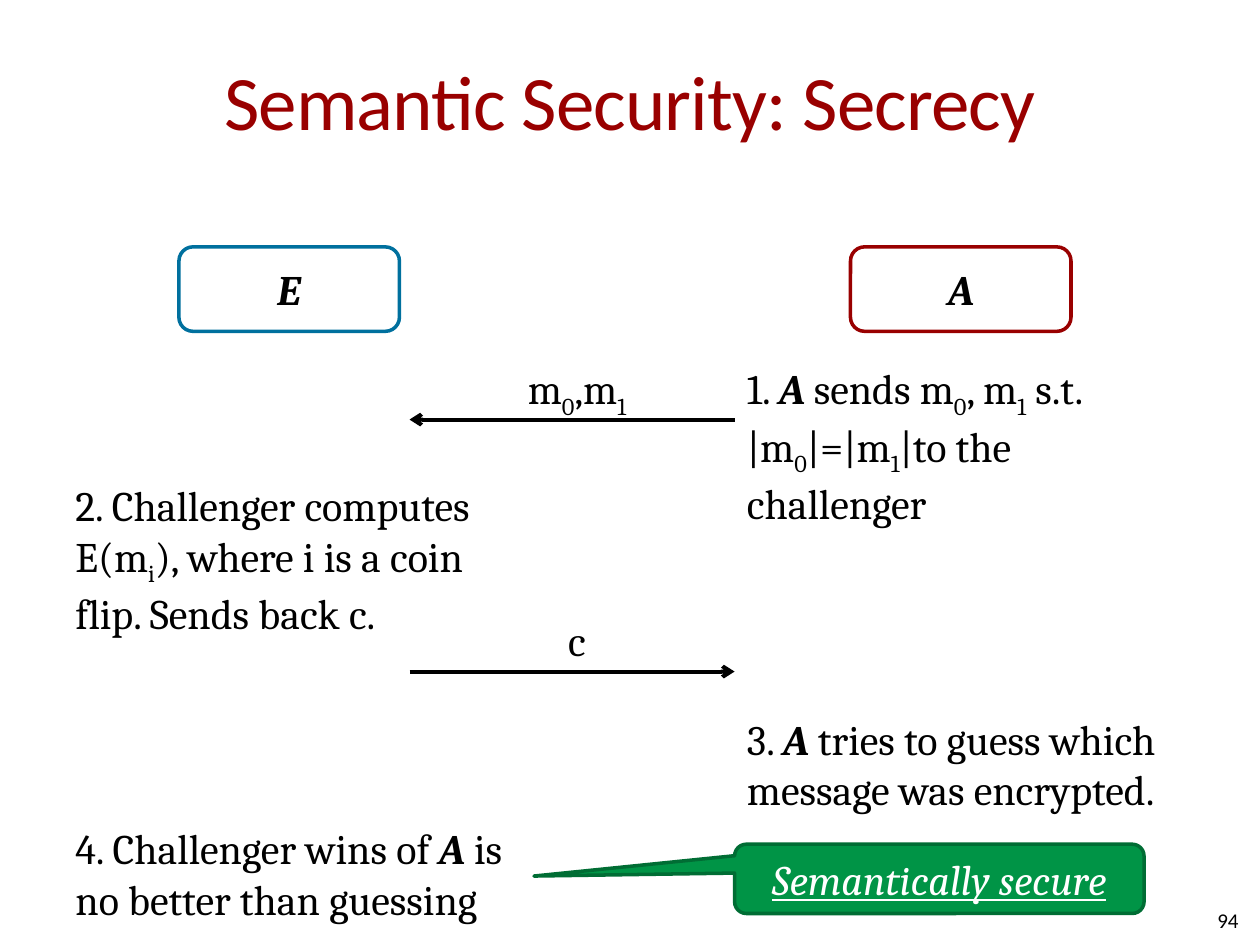
from dataclasses import dataclass

from pptx import Presentation
from pptx.dml.color import RGBColor
from pptx.enum.shapes import MSO_CONNECTOR, MSO_SHAPE
from pptx.enum.text import MSO_ANCHOR, PP_ALIGN
from pptx.oxml.ns import qn
from pptx.util import Inches, Pt
from lxml import etree

LEFT, CENTER, RIGHT = PP_ALIGN.LEFT, PP_ALIGN.CENTER, PP_ALIGN.RIGHT
TOP, MIDDLE = MSO_ANCHOR.TOP, MSO_ANCHOR.MIDDLE
ROUNDED, CALLOUT = MSO_SHAPE.ROUNDED_RECTANGLE, MSO_SHAPE.ROUNDED_RECTANGULAR_CALLOUT
STRAIGHT = MSO_CONNECTOR.STRAIGHT

BLACK = RGBColor(0x00, 0x00, 0x00)
WHITE = RGBColor(0xFF, 0xFF, 0xFF)
DARK_RED = RGBColor(0x99, 0x00, 0x00)
BLUE = RGBColor(0x00, 0x70, 0x9E)
GREEN = RGBColor(0x00, 0x94, 0x46)
DARK_GREEN = RGBColor(0x00, 0x6D, 0x34)

CHALLENGER_LEFT, ADVERSARY_LEFT = 0.5, 5.83
ARROW_LEFT, ARROW_RIGHT = 3.25, 5.83


@dataclass(frozen=True)
class Phrase:
    text: str
    subscript: bool = False
    party: bool = False


@dataclass(frozen=True)
class Step:
    left: float
    top: float
    width: float
    height: float
    phrases: tuple


@dataclass(frozen=True)
class Box:
    left: float
    top: float
    width: float
    height: float
    text: str
    fill: RGBColor
    line: RGBColor
    color: RGBColor
    bold: bool = True
    underline: bool = False
    kind: MSO_SHAPE = ROUNDED
    adjustments: tuple = ()


@dataclass(frozen=True)
class Message:
    start: float
    end: float
    top: float
    phrases: tuple


ADVERSARY = Phrase("A", party=True)
ZERO, ONE = Phrase("0", subscript=True), Phrase("1", subscript=True)

STEPS = (
    Step(ADVERSARY_LEFT, 2.83, 3.67, 1.5, (
        Phrase("1. "), ADVERSARY, Phrase(" sends m"), ZERO, Phrase(", m"), ONE,
        Phrase(" s.t.\v|m"), ZERO, Phrase("|=|m"), ONE, Phrase("|to the challenger"))),
    Step(CHALLENGER_LEFT, 3.76, 3.83, 1.5, (
        Phrase("2. Challenger computes E(m"), Phrase("i", subscript=True),
        Phrase("), where i is a coin flip. Sends back c."))),
    Step(ADVERSARY_LEFT, 5.61, 3.67, 0.9, (
        Phrase("3. "), ADVERSARY, Phrase(" tries to guess which message was encrypted."))),
    Step(CHALLENGER_LEFT, 6.48, 3.83, 0.9, (
        Phrase("4. Challenger wins of "), ADVERSARY, Phrase(" is no better than guessing"))),
)

BOXES = (
    Box(1.42, 1.96, 1.75, 0.67, "E", WHITE, BLUE, BLACK),
    Box(6.75, 1.96, 1.75, 0.67, "A", WHITE, DARK_RED, BLACK),
    Box(5.83, 6.7, 3.25, 0.55, "Semantically secure", GREEN, DARK_GREEN, WHITE,
        False, True, CALLOUT, (-0.99, -0.04, 0.17)),
)

MESSAGES = (
    Message(ARROW_RIGHT, ARROW_LEFT, 3.33, (Phrase("m"), ZERO, Phrase(",m"), ONE)),
    Message(ARROW_LEFT, ARROW_RIGHT, 5.33, (Phrase("c"),)),
)


def format_paragraph(paragraph, size: float, color: RGBColor, align=LEFT, name="Cambria"):
    paragraph.alignment = align
    paragraph.font.name = name
    paragraph.font.size = Pt(size)
    paragraph.font.color.rgb = color


def clear_margins(frame):
    frame.margin_left = frame.margin_right = frame.margin_top = frame.margin_bottom = 0


def add_phrases(paragraph, phrases: tuple):
    for phrase in phrases:
        for index, text in enumerate(phrase.text.split("\v")):
            if index:
                paragraph.add_line_break()
            run = paragraph.add_run()
            run.text = text
            if phrase.party:
                run.font.bold = run.font.italic = True
            if phrase.subscript:
                run.font._element.set("baseline", "-25000")


def add_text(slide, left: float, top: float, width: float, height: float,
             phrases: tuple, align=LEFT, wrap=True):
    text_box = slide.shapes.add_textbox(Inches(left), Inches(top), Inches(width), Inches(height))
    frame = text_box.text_frame
    frame.word_wrap = wrap
    frame.vertical_anchor = TOP
    paragraph = frame.paragraphs[0]
    add_phrases(paragraph, phrases)
    format_paragraph(paragraph, 24, BLACK, align)


def add_title(slide, text: str):
    title = slide.shapes.title
    title.left, title.top = Inches(0.5), Inches(0.17)
    title.width, title.height = Inches(9), Inches(1.25)
    frame = title.text_frame
    frame.margin_left = frame.margin_right = 0
    frame.vertical_anchor = MIDDLE
    frame.text = text
    paragraph = frame.paragraphs[0]
    format_paragraph(paragraph, 44, DARK_RED, CENTER, "Calibri")
    paragraph.runs[0].font._element.set("spc", "-50")


def add_box(slide, box: Box):
    shape = slide.shapes.add_shape(
        box.kind, Inches(box.left), Inches(box.top), Inches(box.width), Inches(box.height))
    shape.shadow.inherit = False
    for index, value in enumerate(box.adjustments):
        shape.adjustments[index] = value
    shape.fill.solid()
    shape.fill.fore_color.rgb = box.fill
    shape.line.color.rgb = box.line
    shape.line.width = Pt(2)
    frame = shape.text_frame
    clear_margins(frame)
    frame.vertical_anchor = MIDDLE
    frame.text = box.text
    paragraph = frame.paragraphs[0]
    format_paragraph(paragraph, 24, box.color, CENTER)
    paragraph.font.bold = box.bold
    paragraph.font.italic = True
    paragraph.font.underline = box.underline


def add_message(slide, message: Message):
    arrow = slide.shapes.add_connector(
        STRAIGHT, Inches(message.start), Inches(message.top),
        Inches(message.end), Inches(message.top))
    arrow.line.color.rgb = BLACK
    arrow.line.width = Pt(2.25)
    etree.SubElement(arrow.line._get_or_add_ln(), qn("a:tailEnd"), type="arrow")
    etree.SubElement(arrow._element.spPr, qn("a:effectLst"))
    add_text(slide, 4.08, message.top - 0.5, 1, 0.5, message.phrases, CENTER, False)


def add_slide_number(slide, number: str):
    text_box = slide.shapes.add_textbox(Inches(7.5), Inches(7.1), Inches(2.33), Inches(0.4))
    frame = text_box.text_frame
    clear_margins(frame)
    frame.word_wrap = True
    frame.vertical_anchor = MIDDLE
    frame.text = number
    format_paragraph(frame.paragraphs[0], 12, BLACK, RIGHT, "Calibri")


def main():
    presentation = Presentation()
    presentation.slide_width, presentation.slide_height = Inches(10), Inches(7.5)
    slide = presentation.slides.add_slide(presentation.slide_layouts[5])
    add_title(slide, "Semantic Security: Secrecy")
    for step in STEPS:
        add_text(slide, step.left, step.top, step.width, step.height, step.phrases)
    for message in MESSAGES:
        add_message(slide, message)
    for box in BOXES:
        add_box(slide, box)
    add_slide_number(slide, "94")
    presentation.save("out.pptx")


if __name__ == "__main__":
    main()
